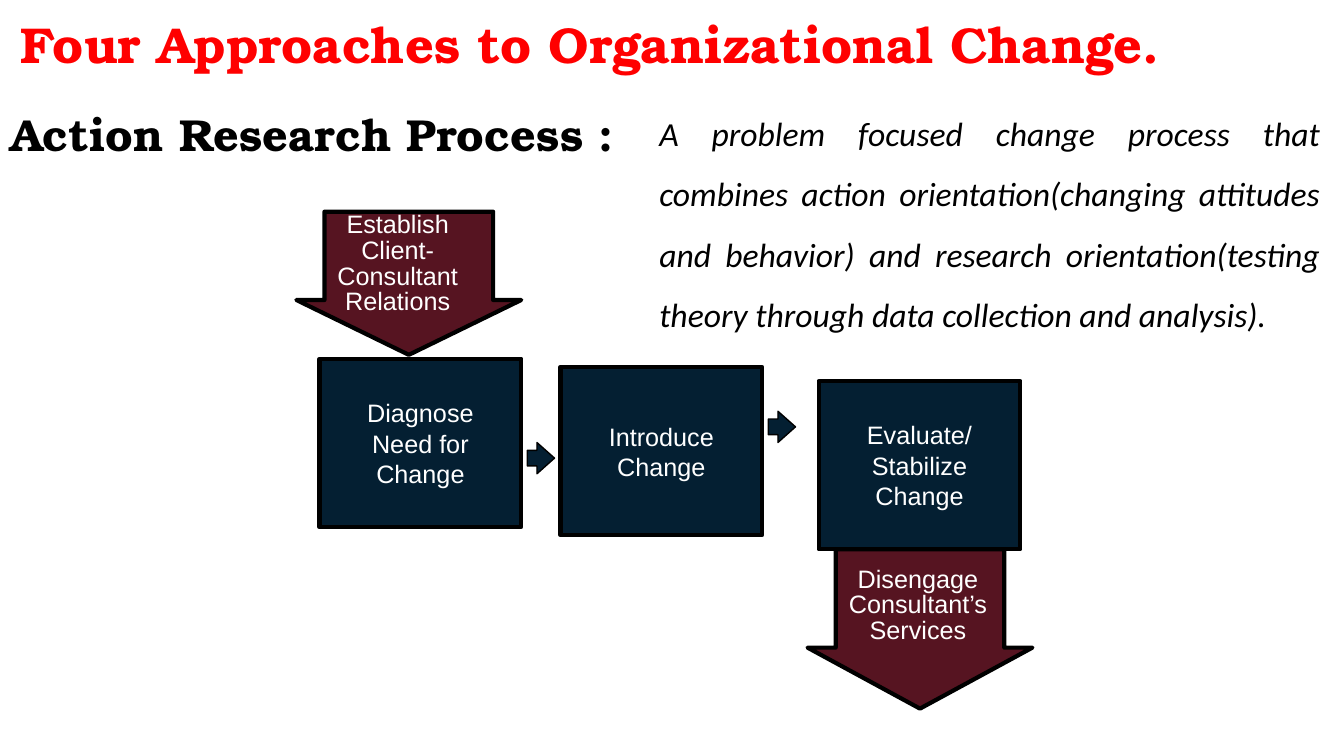
import pptx
import pptx.dml.color
import pptx.enum.shapes
import pptx.enum.text
import pptx.util

Inches = pptx.util.Inches
Pt = pptx.util.Pt
Align = pptx.enum.text.PP_ALIGN
Anchor = pptx.enum.text.MSO_ANCHOR
Shape = pptx.enum.shapes.MSO_SHAPE


class Theme:
    red = pptx.dml.color.RGBColor(0xFF, 0x00, 0x00)
    black = pptx.dml.color.RGBColor(0x00, 0x00, 0x00)
    white = pptx.dml.color.RGBColor(0xFF, 0xFF, 0xFF)
    maroon = pptx.dml.color.RGBColor(0x56, 0x14, 0x21)
    navy = pptx.dml.color.RGBColor(0x04, 0x1F, 0x32)
    heading = {"name": "TeX Gyre Bonum", "size": Pt(36), "bold": True}
    subheading = {"name": "TeX Gyre Bonum", "size": Pt(32), "bold": True}
    body = {"name": "Calibri", "size": Pt(24), "italic": True}
    label = {"name": "Arial", "size": Pt(18)}


def write_lines(frame, lines, font_format, color, paragraph_format):
    """Fill the frame with one formatted paragraph for each line."""
    for index, line in enumerate(lines):
        para = frame.paragraphs[0] if index == 0 else frame.add_paragraph()
        for name, value in paragraph_format.items():
            setattr(para, name, value)
        span = para.add_run()
        span.text = line
        for name, value in font_format.items():
            setattr(span.font, name, value)
        span.font.color.rgb = color


def add_block(page, kind, place, fill, line_width):
    block = page.shapes.add_shape(kind, *map(Inches, place))
    block.shadow.inherit = False
    block.fill.solid()
    block.fill.fore_color.rgb = fill
    block.line.color.rgb = Theme.black
    block.line.width = Pt(line_width)
    block.text_frame.vertical_anchor = Anchor.MIDDLE
    block.text_frame.word_wrap = False
    return block


deck = pptx.Presentation()
deck.slide_width = Inches(13.33)
deck.slide_height = Inches(7.5)
page = deck.slides.add_slide(deck.slide_layouts[5])

# Subheading in the title placeholder
title = page.shapes.title
title_format = {"left": 0, "top": Inches(1.02), "width": Inches(11.5), "height": Inches(0.68)}
for name, value in title_format.items():
    setattr(title, name, value)
title.text_frame.vertical_anchor = Anchor.MIDDLE
write_lines(title.text_frame, ["Action Research Process :"], Theme.subheading, Theme.black,
            {"alignment": Align.LEFT, "line_spacing": 0.9})

# Entry and exit arrows: place, margins (left, top, right, bottom), lines
client_arrows = [
    ((2.94, 2.1, 2.23, 1.42), (0, 0.04, 0.22, 0),
     ["Establish", "Client-", "Consultant", "Relations"]),
    ((8.01, 5.45, 2.23, 1.58), (0, 0, 0.04, 0),
     ["Disengage", "Consultant’s", "Services"]),
]
for place, margins, lines in client_arrows:
    arrow = add_block(page, Shape.DOWN_ARROW, place, Theme.maroon, 3)
    arrow.adjustments[0] = 0.75
    arrow.adjustments[1] = 0.383
    for side, margin in zip(("left", "top", "right", "bottom"), margins):
        setattr(arrow.text_frame, f"margin_{side}", Inches(margin))
    write_lines(arrow.text_frame, lines, Theme.label, Theme.white,
                {"alignment": Align.CENTER, "line_spacing": 0.85})

# Process steps
steps = [
    (3.17, 3.56, ["Diagnose", "Need for", "Change"]),
    (5.56, 3.64, ["Introduce", "Change"]),
    (8.12, 3.78, ["Evaluate/", "Stabilize", "Change"]),
]
for left, top, lines in steps:
    step = add_block(page, Shape.RECTANGLE, (left, top, 2, 1.67), Theme.navy, 3)
    write_lines(step.text_frame, lines, Theme.label, Theme.white, {"alignment": Align.CENTER})

for left, top in [(5.23, 4.39), (7.62, 4.08)]:
    link = add_block(page, Shape.RIGHT_ARROW, (left, top, 0.27, 0.31), Theme.navy, 1)
    link.adjustments[1] = 0.643

# Definition and heading
texts = [
    ((6.44, 0.87, 6.75, 2.46),
     "A problem focused change process that combines action orientation(changing attitudes "
     "and behavior) and research orientation(testing theory through data collection and analysis).",
     Theme.body, Theme.black, {"alignment": Align.JUSTIFY, "line_spacing": 1.5}),
    ((0.1, 0.08, 12.68, 0.71), "Four Approaches to Organizational Change.",
     Theme.heading, Theme.red, {"alignment": Align.LEFT}),
]
for place, text, font_format, color, paragraph_format in texts:
    box = page.shapes.add_textbox(*map(Inches, place))
    box.text_frame.word_wrap = True
    write_lines(box.text_frame, [text], font_format, color, paragraph_format)

deck.save("out.pptx")
